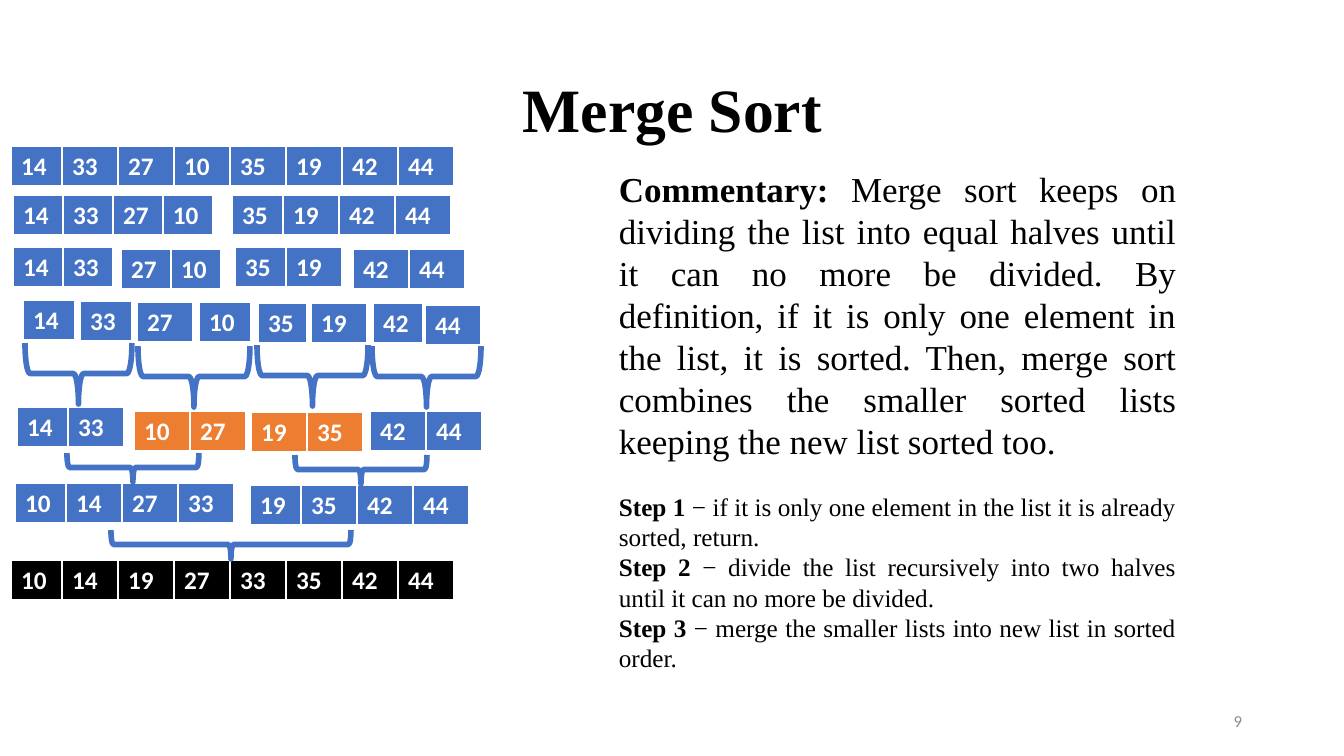
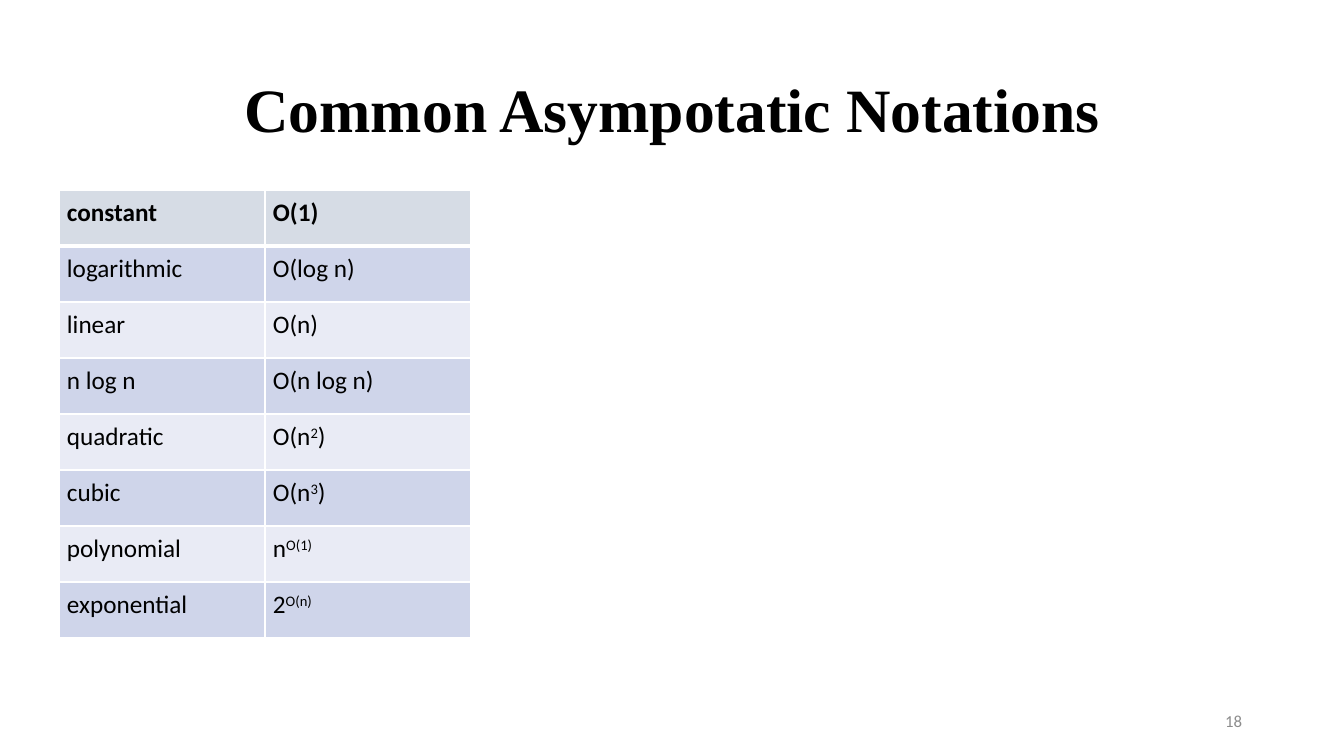
import pptx
import pptx.util
import pptx.dml.color
import pptx.enum.shapes
import pptx.enum.text
import pptx.oxml
import pptx.oxml.ns

SERIF, SANS = "Times New Roman", "Calibri"
BLUE, ORANGE, BLACK, WHITE, GREY = "4472C4", "ED7D31", "000000", "FFFFFF", "8C8C8C"
HEADER, BAND_DARK, BAND_LIGHT = "D6DCE5", "CFD5EA", "E9EBF5"
ALIGN = pptx.enum.text.PP_ALIGN
ANCHOR = pptx.enum.text.MSO_ANCHOR

LISTS = [
    (11, 146, 51, 56, "14 33 27 10 35 19 42 44", BLUE),
    (13, 195, 50, 50, "14 33 27 10", BLUE),
    (232, 195, 51, 56, "35 19 42 44", BLUE),
    (13, 247, 50, 50, "14 33", BLUE),
    (121, 249, 50, 50, "27 10", BLUE),
    (235, 247, 51, 56, "35 19", BLUE),
    (353, 249, 56, 56, "42 44", BLUE),
    (23, 300, 52, 52, "14", BLUE),
    (80, 301, 52, 52, "33", BLUE),
    (137, 302, 56, 56, "27", BLUE),
    (199, 302, 52, 52, "10", BLUE),
    (258, 303, 49, 49, "35", BLUE),
    (311, 303, 56, 56, "19", BLUE),
    (373, 303, 50, 50, "42", BLUE),
    (425, 305, 56, 56, "44", BLUE),
    (17, 407, 51, 56, "14 33", BLUE),
    (134, 411, 56, 56, "10 27", ORANGE),
    (251, 412, 56, 56, "19 35", ORANGE),
    (370, 411, 56, 56, "42 44", BLUE),
    (15, 483, 51, 56, "10 14 27 33", BLUE),
    (250, 485, 51, 56, "19 35 42 44", BLUE),
    (11, 560, 51, 56, "10 14 19 27 33 35 42 44", BLACK),
]
LIST_HEIGHT = 41

BRACES = [
    (25, 343, 107, 61), (138, 346, 112, 61), (257, 345, 111, 61), (372, 346, 109, 61),
    (67, 453, 132, 29), (295, 455, 132, 29), (111, 530, 240, 29),
]

COMMENTARY = [
    (25, 0, "Commentary: ", "Merge sort keeps on dividing the list into equal halves until it can "
     "no more be divided. By definition, if it is only one element in the list, it is sorted. "
     "Then, merge sort combines the smaller sorted lists keeping the new list sorted too."),
    (18, 21, "Step 1", " − if it is only one element in the list it is already sorted, return. "),
    (18, 0, "Step 2", " − divide the list recursively into two halves until it can no more be divided. "),
    (18, 0, "Step 3", " − merge the smaller lists into new list in sorted order."),
]

NOTATIONS = [
    ("constant", ["Ο(1)"]),
    ("logarithmic", ["Ο(log n)"]),
    ("linear", ["Ο(n)"]),
    ("n log n", ["Ο(n log n)"]),
    ("quadratic", ["Ο(n", "2", ")"]),
    ("cubic", ["Ο(n", "3", ")"]),
    ("polynomial", ["n", "Ο(1)"]),
    ("exponential", ["2", "Ο(n)"]),
]


def px(length):
    return round(length * 914400 / 100.8)


def color(value):
    return pptx.dml.color.RGBColor.from_string(value)


def add_span(para, text, size, font, ink, bold=False, raised=False):
    span = para.add_run()
    span.text = text
    span.font.size = pptx.util.Pt(size)
    span.font.name = font
    span.font.bold = bold
    span.font.color.rgb = color(ink)
    if raised:
        span._r.get_or_add_rPr().set("baseline", "30000")


def add_box(page, left, top, width, height, anchor):
    box = page.shapes.add_textbox(px(left), px(top), px(width), px(height))
    frame = box.text_frame
    frame.word_wrap = True
    frame.vertical_anchor = anchor
    return frame


def add_page(deck, title, number):
    page = deck.slides.add_slide(deck.slide_layouts[6])
    para = add_box(page, 93, 40, 1159, 146, ANCHOR.MIDDLE).paragraphs[0]
    para.alignment = ALIGN.CENTER
    para.line_spacing = 0.9
    add_span(para, title, 44, SERIF, BLACK, True)
    para = add_box(page, 950, 701, 302, 40, ANCHOR.MIDDLE).paragraphs[0]
    para.alignment = ALIGN.RIGHT
    add_span(para, number, 12, SANS, GREY)
    return page


def add_grid(page, left, top, widths, row_height, rows):
    frame = page.shapes.add_table(rows, len(widths), px(left), px(top),
                                  px(sum(widths)), px(row_height * rows))
    grid = frame.table
    for column, width in zip(grid.columns, widths):
        column.width = px(width)
    for row in grid.rows:
        row.height = px(row_height)
    return grid


def style_cell(cell, fill, bottom=1, top=1):
    properties = cell._tc.get_or_add_tcPr()
    for side, width in (("L", 1), ("R", 1), ("T", top), ("B", bottom)):
        properties.append(pptx.oxml.parse_xml(
            f'<a:ln{side} {pptx.oxml.ns.nsdecls("a")} w="{pptx.util.Pt(width)}">'
            f'<a:solidFill><a:srgbClr val="{WHITE}"/></a:solidFill></a:ln{side}>'))
    cell.fill.solid()
    cell.fill.fore_color.rgb = color(fill)


def add_list(page, left, top, first, other, values, fill):
    numbers = values.split()
    widths = [first] + [other] * (len(numbers) - 1)
    grid = add_grid(page, left, top, widths, LIST_HEIGHT, 1)
    for cell, number in zip(grid.rows[0].cells, numbers):
        style_cell(cell, fill, bottom=3)
        add_span(cell.text_frame.paragraphs[0], number, 18, SANS, WHITE, True)


def add_brace(page, left, top, width, height):
    shift = (width - height) / 2
    brace = page.shapes.add_shape(pptx.enum.shapes.MSO_SHAPE.LEFT_BRACE, px(left + shift),
                                  px(top - shift), px(height), px(width))
    brace.rotation = 270
    brace.shadow.inherit = False
    brace.fill.background()
    brace.line.color.rgb = color(BLUE)
    brace.line.width = pptx.util.Pt(4)


def add_commentary(page):
    frame = add_box(page, 609, 163, 577, 521, ANCHOR.TOP)
    for index, (size, gap, lead, text) in enumerate(COMMENTARY):
        para = frame.add_paragraph() if index else frame.paragraphs[0]
        para.alignment = ALIGN.JUSTIFY
        para.space_before = pptx.util.Pt(gap)
        add_span(para, lead, size, SERIF, BLACK, True)
        add_span(para, text, size, SERIF, BLACK)


def add_notations(page):
    grid = add_grid(page, 59, 190, [206, 206], 56, len(NOTATIONS))
    for index, (name, formula) in enumerate(NOTATIONS):
        header = index == 0
        fill = HEADER if header else BAND_DARK if index % 2 else BAND_LIGHT
        for cell, parts in zip(grid.rows[index].cells, ([name], formula)):
            cell.margin_left = cell.margin_right = px(8)
            cell.margin_top = cell.margin_bottom = px(8)
            style_cell(cell, fill, bottom=3 if header else 1, top=3 if index == 1 else 1)
            para = cell.text_frame.paragraphs[0]
            for position, part in enumerate(parts):
                add_span(para, part, 18, SANS, BLACK, header, raised=position == 1)


deck = pptx.Presentation()
deck.slide_width, deck.slide_height = px(1344), px(756)

merge_page = add_page(deck, "Merge Sort", "9")
for item in LISTS:
    add_list(merge_page, *item)
for item in BRACES:
    add_brace(merge_page, *item)
add_commentary(merge_page)

notation_page = add_page(deck, "Common Asympotatic Notations", "18")
add_notations(notation_page)

deck.save("out.pptx")
